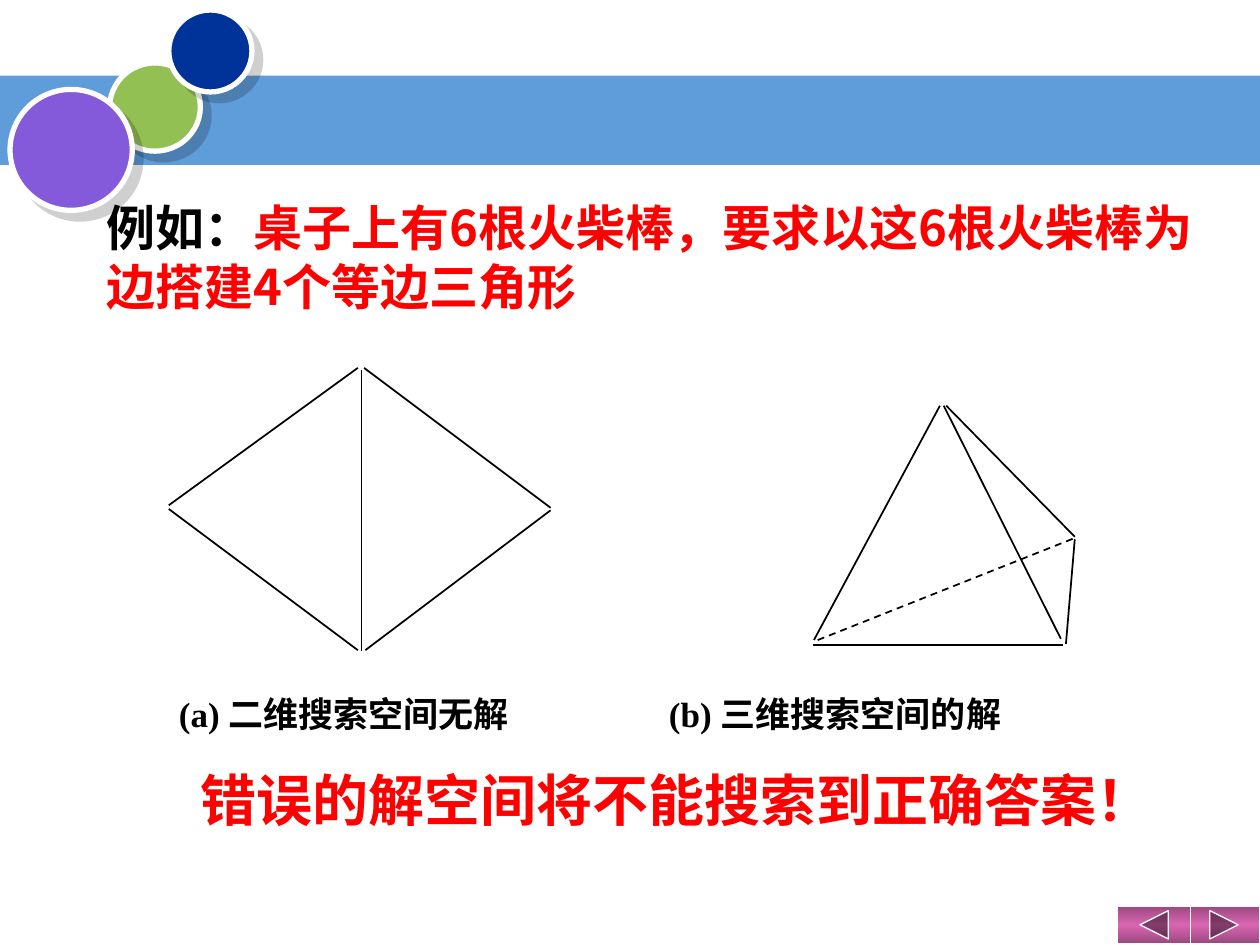
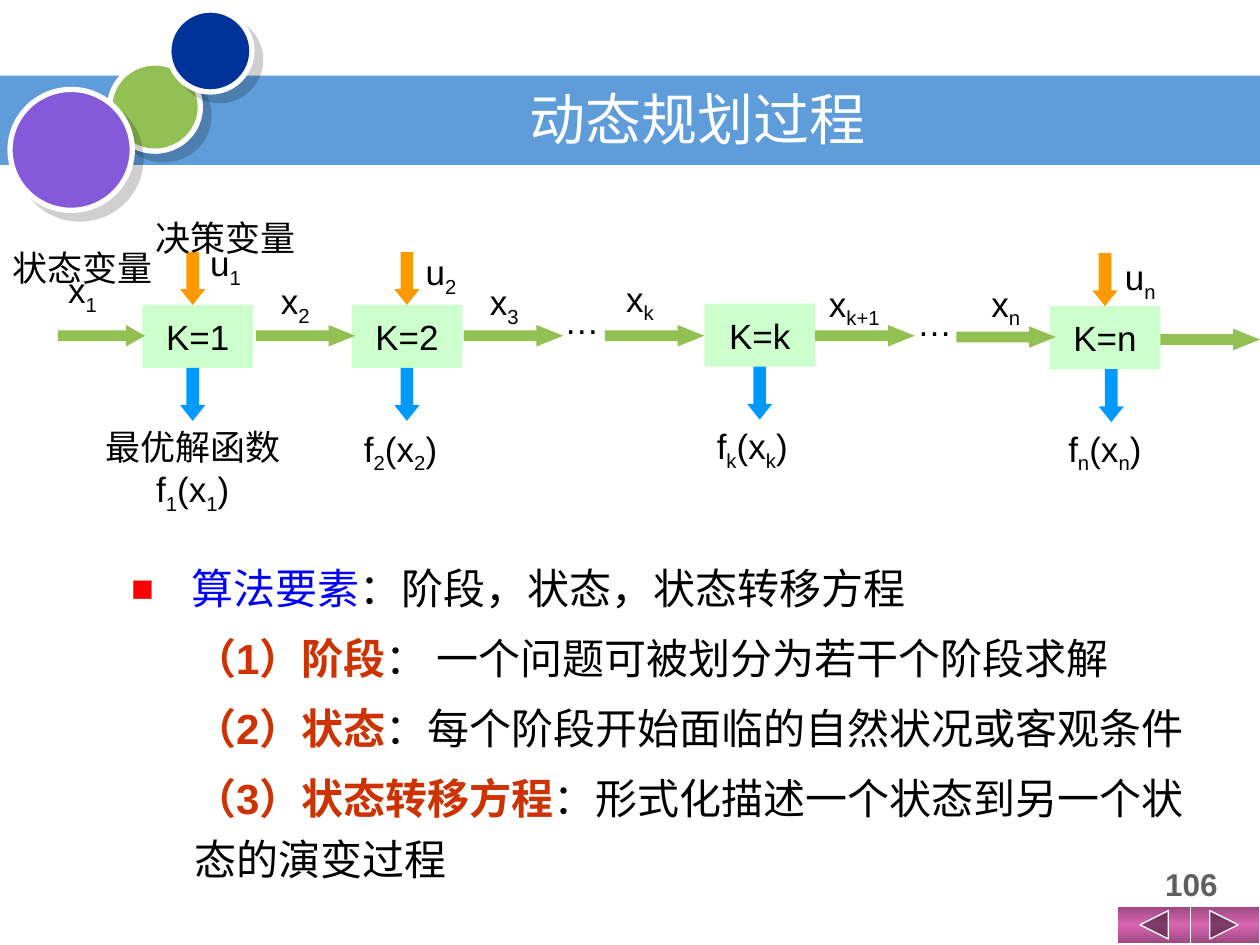
"""Build two slides on search spaces and dynamic programming."""
from copy import deepcopy
from dataclasses import dataclass
from typing import Any, NamedTuple, Optional

from lxml import etree
from pptx import Presentation
from pptx import util as u
from pptx.dml import color
from pptx.enum import dml, shapes, text
from pptx.oxml import ns

SCALE = 9144
KIND = shapes.MSO_SHAPE
ALIGN = text.PP_ALIGN


@dataclass(frozen=True)
class Theme:
    white: str = "FFFFFF"
    black: str = "000000"
    band: str = "5E9CDA"
    green: str = "93C052"
    navy: str = "003399"
    violet: str = "855ADA"
    edge: str = "9B487F"
    glow: str = "D965B2"
    red: str = "FF0000"
    blue: str = "0000FF"
    rust: str = "CC3300"
    gray: str = "5F5F5F"
    mint: str = "CCFFCC"
    orange: str = "FF9900"
    sky: str = "0099FF"
    sans: str = "Arial"
    serif: str = "Times New Roman"
    han: str = "Noto Sans CJK SC"
    tiny: int = 18
    small: int = 20
    body: int = 24
    lead: int = 28
    large: int = 32


T = Theme()


class Box(NamedTuple):
    x: int
    y: int
    w: int
    h: int


class Look(NamedTuple):
    size: int = T.small
    face: str = T.sans
    tint: str = T.black
    bold: bool = False


class Run(NamedTuple):
    words: str
    look: Look = Look()
    sub: bool = False


class Stick(NamedTuple):
    x1: int
    y1: int
    x2: int
    y2: int
    dash: bool = False


class Stage(NamedTuple):
    name: str
    x: int
    y: int
    drop: int
    feed: Optional[int]


class Label(NamedTuple):
    words: str
    box: Box
    align: Any = ALIGN.LEFT
    pitch: Optional[int] = None


class Item(NamedTuple):
    head: str
    tail: str


DISCS = [
    (Box(87, 50, 72, 70), T.green),
    (Box(134, 8, 66, 65), T.navy),
    (Box(8, 71, 97, 96), T.violet),
]
KEYS = [
    (KIND.ACTION_BUTTON_FORWARD_OR_NEXT, Box(943, 719, 57, 30)),
    (KIND.ACTION_BUTTON_BACK_OR_PREVIOUS, Box(887, 719, 58, 30)),
]
STICKS = [
    Stick(287, 294, 287, 517), Stick(289, 292, 437, 403),
    Stick(290, 516, 437, 405), Stick(134, 401, 284, 292),
    Stick(134, 404, 284, 516), Stick(645, 512, 844, 512),
    Stick(646, 508, 746, 322), Stick(842, 507, 749, 322),
    Stick(751, 322, 853, 426), Stick(846, 511, 853, 428),
    Stick(649, 508, 853, 427, True),
]
STAGES = [
    Stage("1", 113, 242, 143, 143), Stage("2", 279, 242, 313, 313),
    Stage("k", 559, 241, 593, None), Stage("n", 833, 243, 872, 867),
]
FLOWS = [
    Box(46, 258, 69, 17), Box(203, 258, 79, 17), Box(368, 258, 79, 17),
    Box(480, 258, 79, 17), Box(647, 258, 79, 17), Box(759, 259, 79, 17),
    Box(921, 261, 79, 17),
]
LABELS = [
    Label("状态变量x_1", Box(-6, 202, 143, 55), ALIGN.CENTER, 16),
    Label("决策变量u_1", Box(112, 175, 134, 61), ALIGN.CENTER, 18),
    Label("最优解函数f_1_(x_1_)", Box(70, 333, 166, 77), ALIGN.CENTER),
    Label("x_2", Box(213, 217, 65, 44)),
    Label("x_3", Box(379, 218, 65, 44)),
    Label("x_k", Box(487, 215, 65, 44)),
    Label("x_k+1", Box(648, 219, 75, 44)),
    Label("x_n", Box(777, 219, 65, 44)),
    Label("u_2", Box(328, 194, 117, 44)),
    Label("u_n", Box(883, 198, 117, 44)),
    Label("f_2_(x_2_)", Box(279, 334, 89, 44)),
    Label("f_k_(x_k_)", Box(559, 332, 89, 44)),
    Label("f_n_(x_n_)", Box(838, 334, 89, 44)),
    Label("…", Box(438, 233, 78, 44)),
    Label("…", Box(718, 234, 78, 44)),
]
ITEMS = [
    Item("算法要素", "：阶段，状态，状态转移方程"),
    Item("（1）阶段", "： 一个问题可被划分为若干个阶段求解"),
    Item("（2）状态", "：每个阶段开始面临的自然状况或客观条件"),
    Item("（3）状态转移方程", "：形式化描述一个状态到另一个状态的演变过程"),
]


def rgb(code: str) -> color.RGBColor:
    return color.RGBColor.from_string(code)


def px(box: tuple) -> list[u.Emu]:
    return [u.Emu(n * SCALE) for n in box]


def put(thing: Any, **values: Any) -> None:
    for key, value in values.items():
        setattr(thing, key, value)


def node(root: Any, tag: str, **attrs: str) -> Any:
    return etree.SubElement(root, ns.qn(tag), attrs)


def write(para: Any, runs: list[Run], **form: Any) -> None:
    put(para, **form)
    for item in runs:
        run = para.add_run()
        run.text = item.words
        look = item.look
        put(run.font, size=u.Pt(look.size), name=look.face, bold=look.bold)
        run.font.color.rgb = rgb(look.tint)
        props = run._r.get_or_add_rPr()
        node(props, "a:ea", typeface=T.han)
        if item.sub:
            props.set("baseline", "-25000")


def note(slide: Any, box: Box, runs: list[Run], pad: bool = True, **form: Any) -> Any:
    frame = slide.shapes.add_textbox(*px(box)).text_frame
    frame.word_wrap = True
    if not pad:
        put(frame, margin_left=0, margin_top=0, margin_right=0, margin_bottom=0)
    write(frame.paragraphs[0], runs, **form)
    return frame.paragraphs[0]


def draw(slide: Any, kind: Any, box: Box, fill: str, line: float = 0, bends: tuple = ()) -> Any:
    shape = slide.shapes.add_shape(kind, *px(box))
    shape.shadow.inherit = False
    shape.fill.solid()
    shape.fill.fore_color.rgb = rgb(fill)
    if line:
        shape.line.color.rgb = rgb(T.white)
        shape.line.width = u.Pt(line)
    else:
        shape.line.fill.background()
    for i, bend in enumerate(bends):
        shape.adjustments[i] = bend
    return shape


def shade(shape: Any) -> None:
    glow = shape._element.spPr.find(ns.qn("a:effectLst"))
    cast = node(glow, "a:outerShdw", dist="90170", dir="2700000", algn="ctr", rotWithShape="0")
    node(node(cast, "a:srgbClr", val=T.black), "a:alpha", val="19000")


def blend(shape: Any) -> None:
    shape.fill.gradient()
    shape.fill.gradient_angle = 90
    for stop, tint, at in zip(shape.fill.gradient_stops, (T.edge, T.glow), (0, 0.5)):
        stop.color.rgb = rgb(tint)
        stop.position = at
    stops = shape._element.spPr.find(".//" + ns.qn("a:gsLst"))
    last = deepcopy(stops[0])
    last.set("pos", "100000")
    stops.append(last)


def stick(slide: Any, item: Stick) -> None:
    line = slide.shapes.add_connector(shapes.MSO_CONNECTOR.STRAIGHT, *px(item[:4]))
    line.line.color.rgb = rgb(T.black)
    line.line.width = u.Pt(1)
    if item.dash:
        line.line.dash_style = dml.MSO_LINE.DASH
    node(line._element.spPr, "a:effectLst")


def start(deck: Any, layout: int) -> Any:
    slide = deck.slides.add_slide(deck.slide_layouts[layout])
    draw(slide, KIND.RECTANGLE, Box(0, 60, 1000, 71), T.band)
    for box, tint in DISCS:
        shade(draw(slide, KIND.OVAL, box, tint, 3))
    for kind, box in KEYS:
        blend(draw(slide, kind, box, T.edge, 0.75))
    for holder in list(slide.placeholders):
        slide.shapes._spTree.append(holder._element)
    return slide


def place(holder: Any, box: Box, anchor: Any) -> Any:
    put(holder, **dict(zip(("left", "top", "width", "height"), px(box))))
    put(holder.text_frame, word_wrap=True, vertical_anchor=anchor, auto_size=text.MSO_AUTO_SIZE.NONE)
    return holder.text_frame


def match(deck: Any) -> None:
    slide = start(deck, 6)
    for item in STICKS:
        stick(slide, item)
    cap = Look(T.small, T.serif, bold=True)
    for x, words in ((142, "(a) 二维搜索空间无解"), (531, "(b) 三维搜索空间的解")):
        note(slide, Box(x, 550, 367, 40), [Run(words, cap)], pad=False)
    lead = Look(T.lead, T.han, bold=True)
    task = "桌子上有6根火柴棒，要求以这6根火柴棒为边搭建4个等边三角形"
    note(slide, Box(75, 152, 882, 103), [Run("例如：", lead), Run(task, lead._replace(tint=T.red))])
    loud = Look(T.large, T.han, T.red, True)
    para = note(slide, Box(138, 603, 767, 64), [Run("错误的解空间将不能搜索到正确答案！", loud)])
    para._p.get_or_add_pPr().set("indent", str(11 * SCALE))


def stage(slide: Any, item: Stage) -> None:
    block = draw(slide, KIND.RECTANGLE, Box(item.x, item.y, 88, 50), T.mint)
    frame = block.text_frame
    put(frame, word_wrap=False, vertical_anchor=text.MSO_ANCHOR.MIDDLE)
    write(frame.paragraphs[0], [Run(f"K={item.name}")], alignment=ALIGN.CENTER)
    for x, y, tint in ((item.feed, item.y - 42, T.orange), (item.drop, item.y + 50, T.sky)):
        if x is not None:
            draw(slide, KIND.DOWN_ARROW, Box(x, y, 20, 42), tint, bends=(0.5, 0.625))


def points(frame: Any) -> None:
    for i, item in enumerate(ITEMS):
        para = frame.add_paragraph() if i else frame.paragraphs[0]
        head = Look(T.body, T.sans, T.rust, True) if i else Look(T.body, T.han, T.blue)
        tail = Look(T.body, head.face)
        write(para, [Run(item.head, head), Run(item.tail, tail)], level=min(i, 1),
              line_spacing=u.Pt(35), space_before=u.Pt(5), alignment=ALIGN.LEFT)
        props = para._p.get_or_add_pPr()
        left, first = (50, 0) if i else (48, -48)
        props.set("marL", str(left * SCALE))
        props.set("indent", str(first * SCALE))
        if i:
            node(props, "a:buNone")
        else:
            node(node(props, "a:buClr"), "a:srgbClr", val=T.red)
            node(props, "a:buSzPct", val="90000")
            node(props, "a:buChar", char="■")


def plan(deck: Any) -> None:
    slide = start(deck, 1)
    title = place(slide.shapes.title, Box(225, 67, 658, 53), text.MSO_ANCHOR.MIDDLE)
    write(title.paragraphs[0], [Run("动态规划过程", Look(T.large, T.han, T.white))], alignment=ALIGN.CENTER)
    note(slide, Box(883, 682, 125, 43), [Run("106", Look(T.tiny, tint=T.gray, bold=True))],
         alignment=ALIGN.CENTER)
    for item in STAGES:
        stage(slide, item)
    for box in FLOWS:
        draw(slide, KIND.RIGHT_ARROW, box, T.green, bends=(0.5, 0.875 if box.w < 79 else 1.25))
    for label in LABELS:
        runs = [Run(part, sub=i % 2 == 1) for i, part in enumerate(label.words.split("_"))]
        form = {"line_spacing": u.Pt(label.pitch)} if label.pitch else {}
        note(slide, label.box, runs, alignment=label.align, **form)
    points(place(slide.placeholders[1], Box(94, 433, 881, 280), text.MSO_ANCHOR.TOP))


def main() -> None:
    deck = Presentation()
    put(deck, slide_width=u.Emu(1000 * SCALE), slide_height=u.Emu(750 * SCALE))
    match(deck)
    plan(deck)
    deck.save("out.pptx")


if __name__ == "__main__":
    main()
